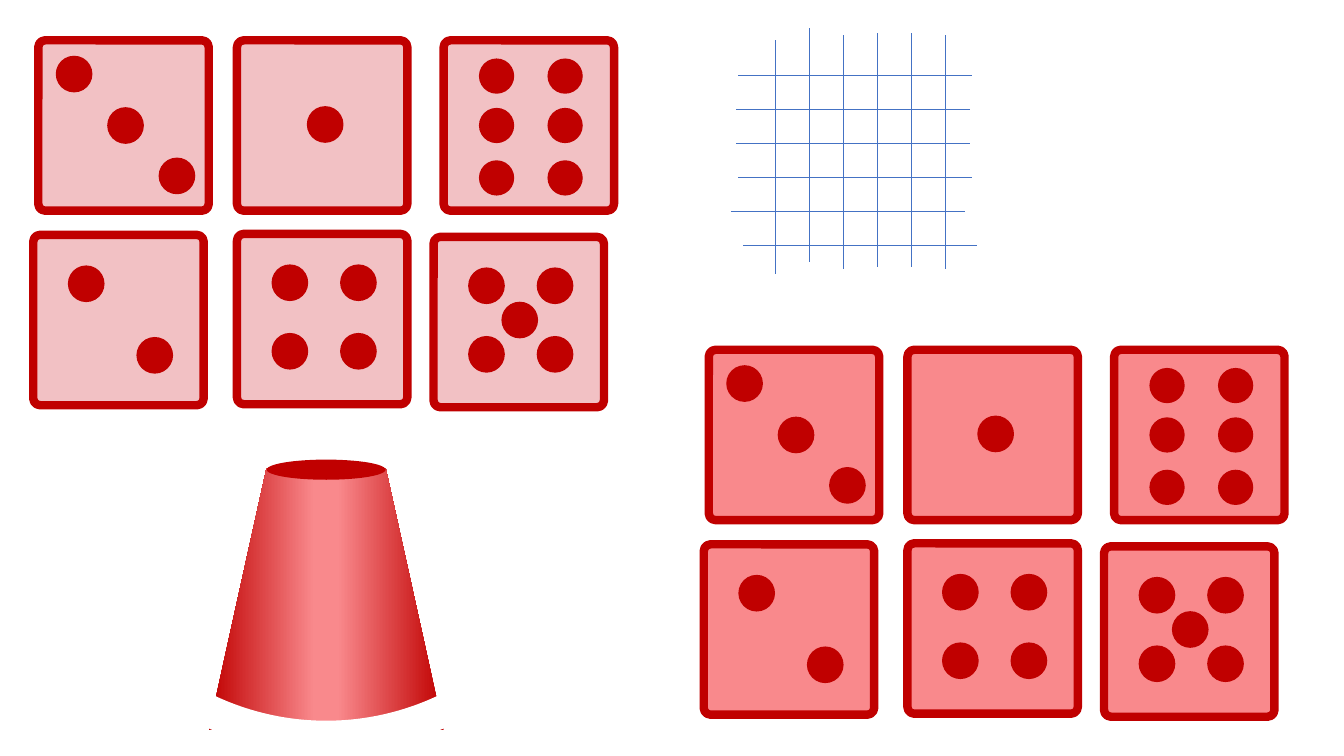
from copy import deepcopy
from dataclasses import dataclass
from itertools import product

from lxml import etree
from pptx import Presentation
from pptx import util as u
from pptx.dml.color import RGBColor
from pptx.enum import shapes
from pptx.oxml.ns import qn


@dataclass(frozen=True)
class Theme:
    dark: str = "C00000"
    pale: str = "F2C1C4"
    bright: str = "F9898C"
    grid: str = "4472C4"
    paper: str = "FFFFFF"
    die_line: float = 6
    pip_line: float = 1
    grid_line: float = 0.5
    arc_line: float = 23


THEME = Theme()
PRESET = shapes.MSO_SHAPE
DIE_SIZE = 1.69
PIP_SIZE = 0.35
COLUMNS = (0.35, 1.03)
PIPS = {
    1: [(0.7, 0.66)],
    2: [(0.35, 0.31), (1.03, 1.02)],
    3: [(0.18, 0.16), (0.69, 0.67), (1.2, 1.17)],
    4: list(product(COLUMNS, (0.31, 0.99))),
    5: list(product(COLUMNS, (0.31, 0.99))) + [(0.68, 0.65)],
    6: list(product(COLUMNS, (0.18, 0.67, 1.19))),
}
DICE = {3: (0.05, 0), 1: (2.02, 0), 6: (4.07, 0),
        2: (0, 1.93), 4: (2.02, 1.92), 5: (3.97, 1.95)}


def format_line(line, color, width):
    line.color.rgb = RGBColor.from_string(color)
    line.width = u.Pt(width)


def add_part(group, preset, box, fill=None, line=None, adjustments=(), rotation=0):
    shape = group.shapes.add_shape(preset, *map(u.Inches, box))
    shape.shadow.inherit = False
    for name, value in {"rotation": rotation}.items():
        setattr(shape, name, value)
    for index, value in enumerate(adjustments):
        shape.adjustments[index] = value
    if fill:
        shape.fill.solid()
        shape.fill.fore_color.rgb = RGBColor.from_string(fill)
    else:
        shape.fill.background()
    if line:
        format_line(shape.line, *line)
    else:
        shape.line.fill.background()
    return shape


def add_die(slide, left, top, value, face):
    group = slide.shapes.add_group_shape()
    add_part(group, PRESET.ROUNDED_RECTANGLE, (left, top, DIE_SIZE, DIE_SIZE),
             face, (THEME.dark, THEME.die_line), [0.04])
    pip_line = None if value == 6 else (THEME.dark, THEME.pip_line)
    for x, y in PIPS[value]:
        add_part(group, PRESET.OVAL, (left + x, top + y, PIP_SIZE, PIP_SIZE),
                 THEME.dark, pip_line)


def add_dice(slide, left, top, face):
    for value, (x, y) in DICE.items():
        add_die(slide, left + x, top + y, value, face)


def add_grid(slide, left, top):
    length, first, gap = 2.32, 0.44, 0.337
    row_starts = (0.07, 0.05, 0.05, 0.07, 0, 0.12)
    column_starts = (0.12, 0, 0.07, 0.05, 0.05, 0.07)
    segments = []
    for index, (row, column) in enumerate(zip(row_starts, column_starts)):
        x, y = left + first + index * gap, top + first + 0.03 + index * gap
        segments.append((left + row, y, left + row + length, y))
        segments.append((x, top + column, x, top + column + length))
    group = slide.shapes.add_group_shape()
    for segment in segments:
        connector = group.shapes.add_connector(
            shapes.MSO_CONNECTOR.STRAIGHT, *map(u.Inches, segment))
        format_line(connector.line, THEME.grid, THEME.grid_line)
        properties = connector.element.find(qn("p:spPr"))
        etree.SubElement(properties, qn("a:effectLst"))


def shade_cup(shape):
    shape.fill.gradient()
    shape.fill.gradient_angle = 180
    stops = shape.element.find(".//" + qn("a:gsLst"))
    for _ in range(2):
        stops.append(deepcopy(stops[0]))
    colors = (THEME.dark, THEME.bright, THEME.bright, THEME.dark)
    for stop, position, color in zip(shape.fill.gradient_stops, (0, 0.45, 0.55, 1), colors):
        stop.position = position
        stop.color.rgb = RGBColor.from_string(color)


def add_cup(slide, left, top, width, height):
    group = slide.shapes.add_group_shape()
    inset, rim, diameter = 0.575, 0.2, 5.51
    body = add_part(group, PRESET.TRAPEZOID, (left, top, width, height),
                    adjustments=[inset / width])
    shade_cup(body)
    add_part(group, PRESET.OVAL,
             (left + inset, top - 0.08, width - 2 * inset, rim), THEME.dark)
    add_part(group, PRESET.ARC,
             (left + (width - diameter) / 2, top - 2.84, diameter, diameter),
             line=(THEME.paper, THEME.arc_line), rotation=134.1)


def build_slide(presentation):
    slide = presentation.slides.add_slide(presentation.slide_layouts[6])
    add_dice(slide, 0.33, 0.4, THEME.pale)
    add_grid(slide, 7.25, 0.28)
    add_dice(slide, 6.98, 3.47, THEME.bright)
    add_cup(slide, 2.07, 4.64, 2.33, 2.6)


presentation = Presentation()
for name, value in {"slide_width": 13.33, "slide_height": 7.5}.items():
    setattr(presentation, name, u.Inches(value))
build_slide(presentation)
presentation.save("out.pptx")
